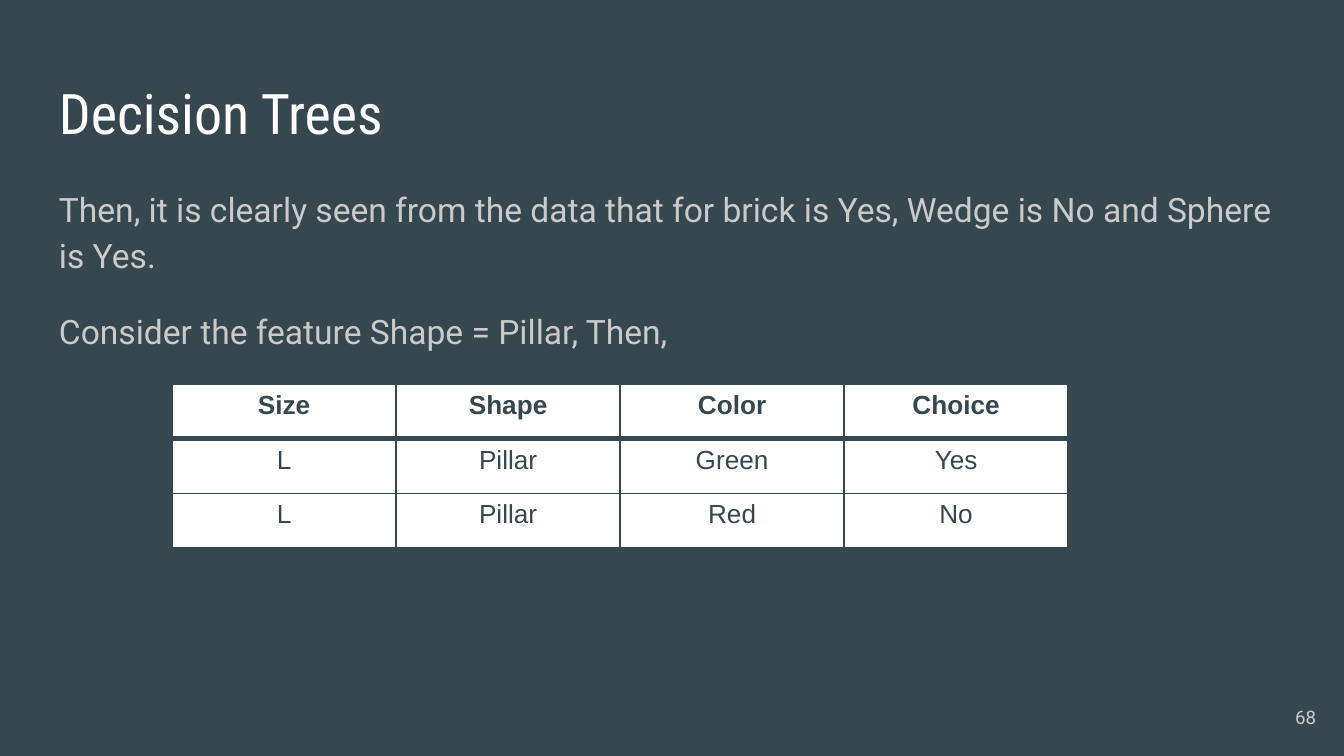
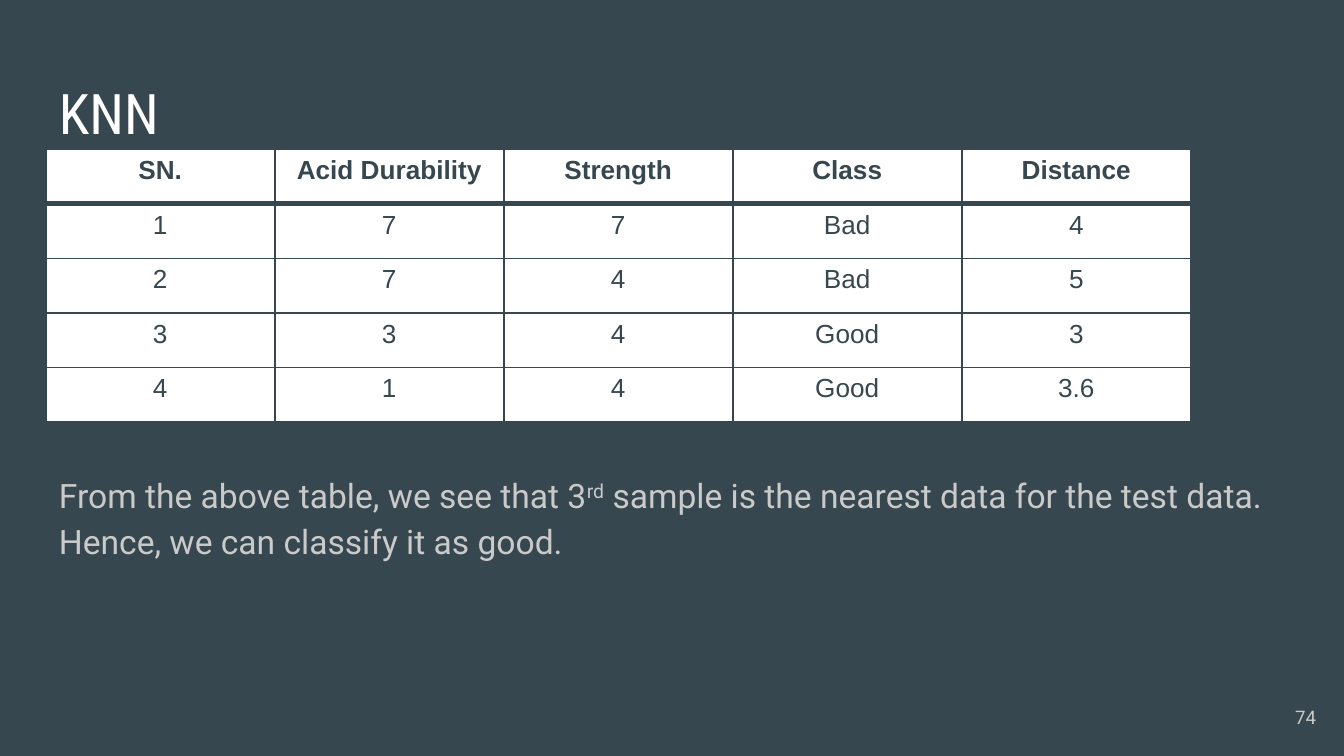
"""Build two machine-learning slides: a decision tree step and a KNN result."""
from dataclasses import dataclass

from lxml import etree
from pptx import Presentation
from pptx.dml.color import RGBColor
from pptx.enum.text import MSO_ANCHOR, PP_ALIGN
from pptx.oxml.ns import qn
from pptx.util import Pt

LEFT, CENTER, RIGHT = PP_ALIGN.LEFT, PP_ALIGN.CENTER, PP_ALIGN.RIGHT
TOP, MIDDLE = MSO_ANCHOR.TOP, MSO_ANCHOR.MIDDLE
BLANK = 6


@dataclass(frozen=True)
class Style:
    font: str
    size: float
    color: str
    bold: bool = False


@dataclass(frozen=True)
class Theme:
    background: str = "37474F"
    cell_fill: str = "FFFFFF"
    title: Style = Style("Roboto Condensed", 30, "FFFFFF")
    body: Style = Style("Roboto", 18, "CACACA")
    number: Style = Style("Roboto", 10, "CACACA")
    header: Style = Style("Arial", 14, "37474F", True)
    cell: Style = Style("Arial", 14, "37474F")
    inset: float = 7.2
    row_height: float = 29.2
    rule: float = 1
    header_rule: float = 3
    line_spacing: float = 1.15
    space_after: float = 16


THEME = Theme()
SLIDE_SIZE = (720, 405)
TITLE_AREA = (24.5, 35, 671, 45.4)
NUMBER_AREA = (668.9, 368.6, 43.2, 31)

SLIDES = [
    {
        "title": "Decision Trees",
        "number": "68",
        "body_area": (24.5, 90.7, 671, 104.4),
        "body": [
            [("Then, it is clearly seen from the data that for brick is Yes, "
              "Wedge is No and Sphere is Yes.", 0)],
            [("Consider the feature Shape = Pillar, Then,", 0)],
        ],
        "table_at": (92.25, 205.9),
        "column_width": 120,
        "rows": [
            ("Size", "Shape", "Color", "Choice"),
            ("L", "Pillar", "Green", "Yes"),
            ("L", "Pillar", "Red", "No"),
        ],
    },
    {
        "title": "KNN",
        "number": "74",
        "body_area": (24.5, 244, 671, 95),
        "body": [
            [("From the above table, we see that 3", 0), ("rd", 30),
             (" sample is the nearest data for the test data. "
              "Hence, we can classify it as good.", 0)],
        ],
        "table_at": (24.5, 80),
        "column_width": 122.7,
        "rows": [
            ("SN.", "Acid Durability", "Strength", "Class", "Distance"),
            ("1", "7", "7", "Bad", "4"),
            ("2", "7", "4", "Bad", "5"),
            ("3", "3", "4", "Good", "3"),
            ("4", "1", "4", "Good", "3.6"),
        ],
    },
]


def apply_style(para, style, align):
    para.alignment = align
    para.font.name = style.font
    para.font.size = Pt(style.size)
    para.font.bold = style.bold
    para.font.color.rgb = RGBColor.from_string(style.color)


def add_text(page, area, paragraphs, style, align=LEFT, anchor=TOP):
    box = page.shapes.add_textbox(*map(Pt, area))
    frame = box.text_frame
    frame.word_wrap = True
    frame.vertical_anchor = anchor
    frame.margin_left = frame.margin_right = Pt(THEME.inset)
    frame.margin_top = frame.margin_bottom = Pt(THEME.inset)
    for index, spans in enumerate(paragraphs):
        para = frame.add_paragraph() if index else frame.paragraphs[0]
        apply_style(para, style, align)
        for text, raised in spans:
            span = para.add_run()
            span.text = text
            if raised:
                span._r.get_or_add_rPr().set("baseline", str(raised * 1000))
    return frame


def add_body(page, area, paragraphs):
    frame = add_text(page, area, paragraphs, THEME.body)
    for para in frame.paragraphs:
        para.line_spacing = THEME.line_spacing
        para.space_after = Pt(THEME.space_after)


def set_borders(cell, bottom):
    properties = cell._tc.get_or_add_tcPr()
    for side in "LRTB":
        width = bottom if side == "B" else THEME.rule
        line = etree.SubElement(properties, qn(f"a:ln{side}"), w=str(Pt(width)))
        fill = etree.SubElement(line, qn("a:solidFill"))
        etree.SubElement(fill, qn("a:srgbClr"), val=THEME.background)


def add_table(page, position, column_width, rows):
    width, height = column_width * len(rows[0]), THEME.row_height * len(rows)
    table = page.shapes.add_table(
        len(rows), len(rows[0]), *map(Pt, (*position, width, height))).table
    table.first_row = table.horz_banding = False
    for column in table.columns:
        column.width = Pt(column_width)
    for row_index, values in enumerate(rows):
        table.rows[row_index].height = Pt(THEME.row_height)
        is_header = row_index == 0
        for column_index, value in enumerate(values):
            cell = table.cell(row_index, column_index)
            set_borders(cell, THEME.header_rule if is_header else THEME.rule)
            cell.fill.solid()
            cell.fill.fore_color.rgb = RGBColor.from_string(THEME.cell_fill)
            cell.text = value
            apply_style(cell.text_frame.paragraphs[0],
                        THEME.header if is_header else THEME.cell, CENTER)


def add_page(deck, content):
    page = deck.slides.add_slide(deck.slide_layouts[BLANK])
    page.background.fill.solid()
    page.background.fill.fore_color.rgb = RGBColor.from_string(THEME.background)
    add_text(page, TITLE_AREA, [[(content["title"], 0)]], THEME.title)
    add_body(page, content["body_area"], content["body"])
    add_text(page, NUMBER_AREA, [[(content["number"], 0)]], THEME.number,
             RIGHT, MIDDLE)
    add_table(page, content["table_at"], content["column_width"], content["rows"])


def main():
    deck = Presentation()
    deck.slide_width, deck.slide_height = map(Pt, SLIDE_SIZE)
    for content in SLIDES:
        add_page(deck, content)
    deck.save("out.pptx")


if __name__ == "__main__":
    main()
